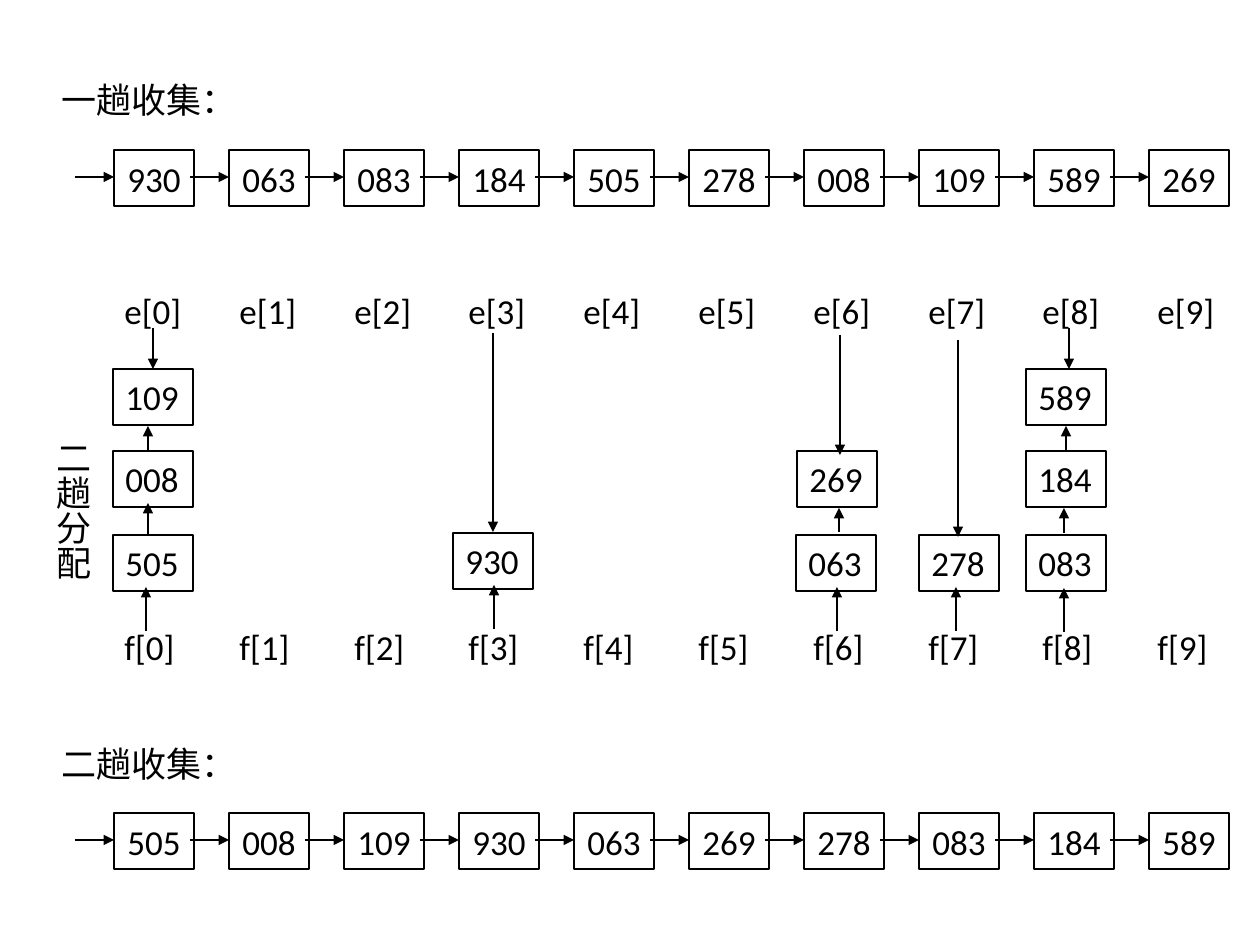
import pptx
import pptx.dml.color
import pptx.enum.shapes
import pptx.enum.text
import pptx.oxml
import pptx.util

BLACK = pptx.dml.color.RGBColor(0, 0, 0)
SCALE = 914400 / 126
ANCHOR = pptx.enum.text.MSO_ANCHOR
ALIGN = pptx.enum.text.PP_ALIGN

# Heading, top of heading, top of boxes, keys in order
CHAINS = [
    ("一趟收集：", 72, 150, "930 063 083 184 505 278 008 109 589 269".split()),
    ("二趟收集：", 736, 813, "505 008 109 930 063 269 278 083 184 589".split()),
]
CHAIN_LEFT, CHAIN_PITCH, CHAIN_ARROW = 114, 115, 39
BOX_WIDTH, BOX_HEIGHT = 80, 56

SIDE_HEADING = ("二趟分配", (33, 428, 67, 172))
BUCKET_COUNT, BUCKET_LEFT, BUCKET_PITCH = 10, 112, 114.8
# Letter, top, width
BUCKET_LABELS = [("e", 283, 82), ("f", 619, 78)]
LABEL_HEIGHT = 54

# Key, left, top of each box, and arrows as (x, from y, to y)
BUCKETS = [
    {"boxes": [("505", 113, 535), ("008", 113, 451), ("109", 113, 369)],
     "arrows": [(146, 631, 587), (148, 534, 503), (148, 452, 426), (153, 328, 369)]},
    {"boxes": [("930", 453, 533)],
     "arrows": [(494, 629, 585), (493, 333, 532)]},
    {"boxes": [("063", 796, 535), ("269", 797, 451)],
     "arrows": [(837, 631, 587), (839, 532, 508), (840, 335, 455)]},
    {"boxes": [("278", 919, 535)],
     "arrows": [(956, 631, 587), (958, 340, 537)]},
    {"boxes": [("083", 1026, 535), ("184", 1026, 451), ("589", 1026, 369)],
     "arrows": [(1064, 632, 588), (1064, 533, 508), (1066, 452, 426), (1069, 328, 369)]},
]


def emu(pixels):
    """Turn pixels into EMU."""
    return pptx.util.Emu(round(pixels * SCALE))


def set_text(shape, text, align=ALIGN.LEFT, **frame_format):
    """Write one line of text with the given frame format."""
    frame = shape.text_frame
    for name, value in frame_format.items():
        setattr(frame, name, value)
    paragraph = frame.paragraphs[0]
    paragraph.alignment = align
    run = paragraph.add_run()
    run.text = text
    for name, value in {"size": pptx.util.Pt(20), "name": "Calibri"}.items():
        setattr(run.font, name, value)
    run.font.color.rgb = BLACK


def add_label(slide, text, bounds, wrap):
    """Add a text box and return it."""
    label = slide.shapes.add_textbox(*map(emu, bounds))
    set_text(label, text, word_wrap=wrap)
    return label


def add_box(slide, text, left, top, align, anchor):
    """Add an outlined box holding a key."""
    box = slide.shapes.add_shape(
        pptx.enum.shapes.MSO_SHAPE.RECTANGLE,
        *map(emu, (left, top, BOX_WIDTH, BOX_HEIGHT)))
    box.shadow.inherit = False
    box.fill.background()
    box.line.color.rgb = BLACK
    box.line.width = pptx.util.Pt(0.75)
    set_text(box, text, align, word_wrap=False, vertical_anchor=anchor)


def add_arrow(slide, *ends):
    """Add an arrow from the first point to the second."""
    arrow = slide.shapes.add_connector(
        pptx.enum.shapes.MSO_CONNECTOR.STRAIGHT, *map(emu, ends))
    arrow.line.color.rgb = BLACK
    arrow.line.width = pptx.util.Pt(0.75)
    namespace = 'xmlns:a="http://schemas.openxmlformats.org/drawingml/2006/main"'
    arrow.line._get_or_add_ln().append(
        pptx.oxml.parse_xml(f'<a:tailEnd {namespace} type="triangle"/>'))
    arrow._element.spPr.append(pptx.oxml.parse_xml(f"<a:effectLst {namespace}/>"))


def add_chain(slide, heading, heading_top, top, keys):
    """Add a heading and its row of linked keys."""
    add_label(slide, heading, (49, heading_top, 210, LABEL_HEIGHT), True)
    middle = top + BOX_HEIGHT // 2 - 1
    for index, key in enumerate(keys):
        left = CHAIN_LEFT + index * CHAIN_PITCH
        add_box(slide, key, left, top, ALIGN.CENTER, ANCHOR.MIDDLE)
        add_arrow(slide, left - CHAIN_ARROW, middle, left, middle)


def add_buckets(slide):
    """Add the bucket labels, the stacked keys and their arrows."""
    for letter, top, width in BUCKET_LABELS:
        for index in range(BUCKET_COUNT):
            left = round(BUCKET_LEFT + index * BUCKET_PITCH)
            add_label(slide, f"{letter}[{index}]", (left, top, width, LABEL_HEIGHT), False)
    for bucket in BUCKETS:
        for key, left, top in bucket["boxes"]:
            add_box(slide, key, left, top, ALIGN.LEFT, ANCHOR.TOP)
        for x, start, end in bucket["arrows"]:
            add_arrow(slide, x, start, x, end)
    heading = add_label(slide, *SIDE_HEADING, True)
    heading.text_frame._txBody.bodyPr.set("vert", "eaVert")


def main():
    """Build the slide and save it."""
    presentation = pptx.Presentation()
    presentation.slide_width, presentation.slide_height = emu(1260), emu(945)
    slide = presentation.slides.add_slide(presentation.slide_layouts[6])
    for chain in CHAINS:
        add_chain(slide, *chain)
    add_buckets(slide)
    presentation.save("out.pptx")


main()
